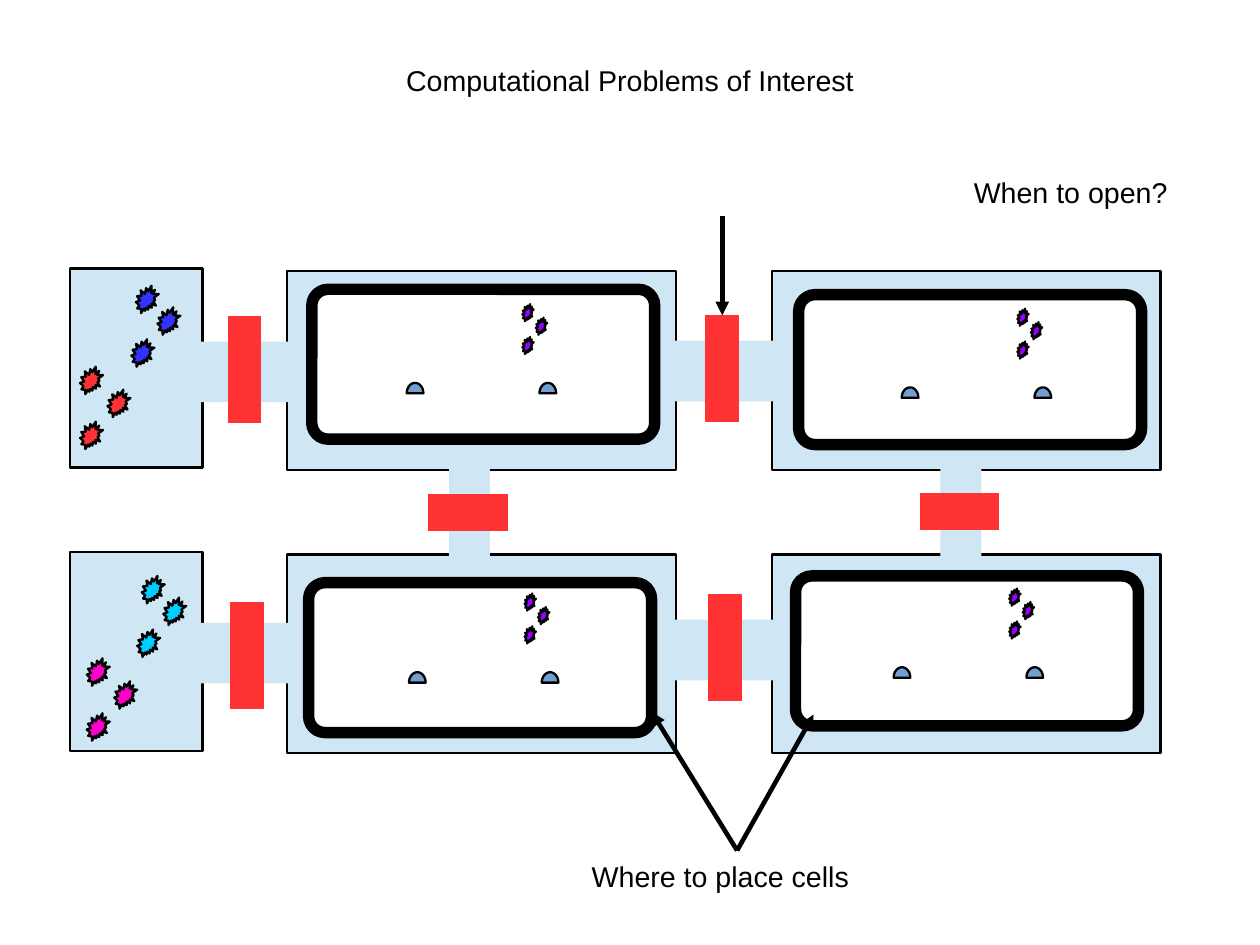
from math import cos, pi, sin

from lxml import etree
from pptx import Presentation
from pptx.dml.color import RGBColor as Rgb
from pptx.enum.shapes import MSO_CONNECTOR as Link, MSO_SHAPE as Kind
from pptx.enum.text import MSO_ANCHOR as Anchor, MSO_AUTO_SIZE as Fit, PP_ALIGN as Align
from pptx.oxml.ns import qn
from pptx.util import Cm, Pt

HUES = {
    "ink": "000000", "white": "FFFFFF", "water": "CFE7F5", "gate": "FF3333",
    "cell": "729FCF", "purple": "9900FF", "blue": "3333FF", "red": "FF3333",
    "cyan": "00CCFF", "pink": "FF00CC",
}
THIN, WALL, BOLD = 1.45, 7.2, 2.89


def hue(name):
    return Rgb.from_string(HUES[name])


def write(frame, text, size=18, font="Arial", color="ink", align=Align.LEFT,
          anchor=Anchor.TOP, pad=(0.25, 0.13)):
    frame.word_wrap = False
    frame.auto_size = Fit.NONE
    frame.vertical_anchor = anchor
    frame.margin_left = frame.margin_right = Cm(pad[0])
    frame.margin_top = frame.margin_bottom = Cm(pad[1])
    para = frame.paragraphs[0]
    para.alignment = align
    run = para.add_run()
    run.text = text
    run.font.size = Pt(size)
    run.font.name = font
    run.font.color.rgb = hue(color)


def paint(shape, fill, line="ink", width=THIN):
    shape.shadow.inherit = False
    shape.fill.solid()
    shape.fill.fore_color.rgb = hue(fill)
    if line:
        shape.line.color.rgb = hue(line)
        shape.line.width = Pt(width)
    else:
        shape.line.fill.background()


def block(slide, kind, x, y, wide, high, fill, **line):
    shape = slide.shapes.add_shape(kind, Cm(x), Cm(y), Cm(wide), Cm(high))
    paint(shape, fill, **line)
    return shape


def dome(slide, x, y, wide=0.37, high=0.23, steps=24):
    half = wide / 2
    rim = [(Cm(x + half - half * cos(pi * i / steps)),
            Cm(y + high - high * sin(pi * i / steps))) for i in range(steps + 1)]
    form = slide.shapes.build_freeform(*rim[0], scale=1.0)
    form.add_line_segments(rim[1:], close=True)
    paint(form.convert_to_shape(), "cell")


def swarm(slide, x, y, wide, high, fill, steps):
    for dx, dy in [(0, 0), *steps]:
        block(slide, Kind.EXPLOSION2, x + dx, y + dy, wide, high, fill)


def arrow(slide, x1, y1, x2, y2, goal=None):
    line = slide.shapes.add_connector(Link.STRAIGHT, Cm(x1), Cm(y1), Cm(x2), Cm(y2))
    line.line.color.rgb = hue("ink")
    line.line.width = Pt(BOLD)
    if goal is not None:
        line.end_connect(goal, 0)
    etree.SubElement(line.line._get_or_add_ln(), qn("a:tailEnd"), type="triangle")
    etree.SubElement(line._element.spPr, qn("a:effectLst"))


def label(slide, text, x, y, wide, high=0.97):
    box = slide.shapes.add_textbox(Cm(x), Cm(y), Cm(wide), Cm(high))
    write(box.text_frame, text)


def heading(slide, text):
    title = slide.shapes.title
    title.left, title.top, title.width, title.height = Cm(1.4), Cm(0.03), Cm(25.2), Cm(3.5)
    write(title.text_frame, text, align=Align.CENTER, anchor=Anchor.MIDDLE, pad=(0, 0))


def chamber(slide, x, y, left, top):
    """Draw a walled chamber at x, y with its first cell at left, top."""
    wall = block(slide, Kind.ROUNDED_RECTANGLE, x, y, 7.62, 3.33, "white", width=WALL)
    wall.adjustments[0] = 0.108
    for dx in (0, 2.95):
        dome(slide, left + dx, top)
    swarm(slide, left + 2.57, top - 1.75, 0.25, 0.38, "purple",
          [(0.3, 0.3), (0, 0.73)])


def main():
    deck = Presentation()
    deck.slide_width, deck.slide_height = Cm(28), Cm(21)
    slide = deck.slides.add_slide(deck.slide_layouts[5])
    heading(slide, "Computational Problems of Interest")

    # Tanks and rooms, in two rows
    for y in (5.97, 12.27):
        block(slide, Kind.RECTANGLE, 1.55, y, 2.95, 4.42, "water")
        for x in (6.38, 17.15):
            block(slide, Kind.RECTANGLE, x, y + 0.05, 8.64, 4.42, "water")

    # Chambers with cells
    for spot in [(6.93, 6.43, 9.04, 8.51), (17.75, 6.55, 20.04, 8.61),
                 (6.86, 12.95, 9.09, 14.94), (17.68, 12.8, 19.86, 14.83)]:
        chamber(slide, *spot)

    # Pipes
    for x, y in [(4.04, 7.59), (14.78, 7.57), (14.78, 13.77), (3.91, 13.84)]:
        block(slide, Kind.RECTANGLE, x, y, 2.69, 1.35, "water", line=None)
    for x in (9.98, 20.9):
        block(slide, Kind.RECTANGLE, x, 10.13, 0.91, 2.46, "water", line=None)

    # Gates
    edge = {"line": "gate", "width": 0.75}
    for x, y in [(5.13, 13.39), (15.75, 13.21), (5.08, 7.04), (15.69, 7.01)]:
        gate = block(slide, Kind.RECTANGLE, x, y, 0.72, 2.36, "gate", **edge)
    for x, y in [(9.53, 11), (20.45, 10.97)]:
        block(slide, Kind.RECTANGLE, x, y, 1.75, 0.79, "gate", **edge)

    # Particles in the tanks
    near, far = [(0.48, 0.48), (-0.1, 1.19)], [(0.61, 0.51), (0, 1.22)]
    for x, y, fill, steps in [(3.02, 6.35, "blue", near), (1.78, 8.15, "red", far),
                              (3.15, 12.8, "cyan", near), (1.93, 14.63, "pink", far)]:
        swarm(slide, x, y, 0.51, 0.61, fill, steps)

    # Questions: the last upright gate is the one pointed at
    arrow(slide, 16.05, 4.8, 16.05, 7.01, goal=gate)
    label(slide, "When to open?", 21.39, 3.76, 4.8)
    for x, y in [(18.08, 15.88), (14.48, 15.82)]:
        arrow(slide, 16.38, 18.9, x, y)
    label(slide, "Where to place cells", 12.9, 18.95, 6.22)

    deck.save("out.pptx")


if __name__ == "__main__":
    main()
